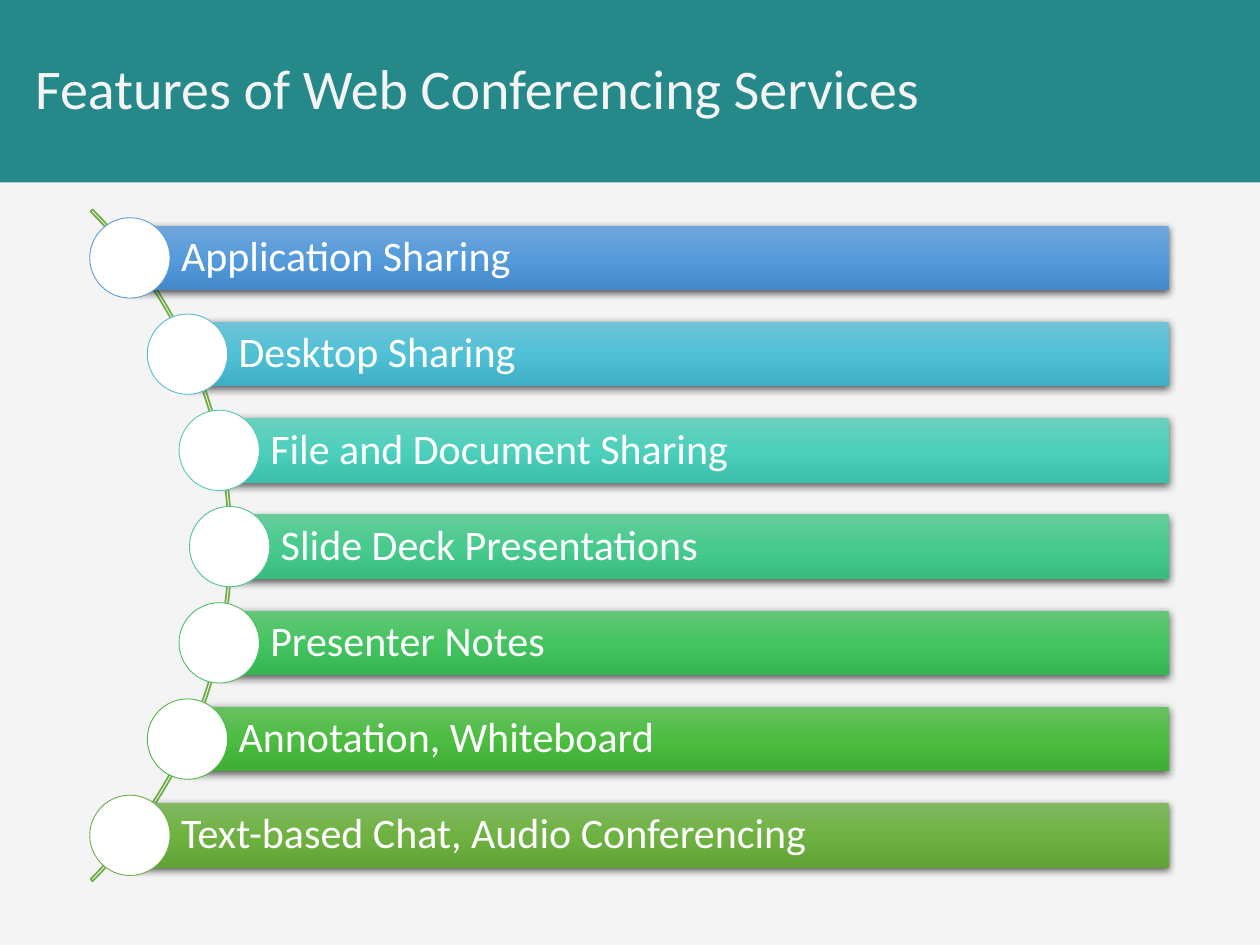
from dataclasses import dataclass

from pptx import Presentation
from pptx.dml.color import RGBColor
from pptx.enum.shapes import MSO_SHAPE
from pptx.enum.text import MSO_ANCHOR, PP_ALIGN
from pptx.oxml import parse_xml
from pptx.oxml.ns import nsdecls, qn
from pptx.util import Cm, Pt

RECTANGLE = MSO_SHAPE.RECTANGLE
OVAL = MSO_SHAPE.OVAL
BLOCK_ARC = MSO_SHAPE.BLOCK_ARC
MIDDLE = MSO_ANCHOR.MIDDLE
LEFT = PP_ALIGN.LEFT
JUSTIFY = PP_ALIGN.JUSTIFY


@dataclass(frozen=True)
class Theme:
    font: str = "Calibri"
    background: str = "F4F4F5"
    header: str = "258989"
    arc: str = "70AD47"
    white: str = "FFFFFF"
    shadow: str = "000000"
    title_size: int = 32
    feature_size: int = 24


THEME = Theme()

FEATURES = [
    ("Application Sharing", ("71A6DB", "559BDB", "448ACA"), "5B9BD5"),
    ("Desktop Sharing", ("6EC4D6", "50C0D6", "40AFC5"), "56BCD0"),
    ("File and Document Sharing", ("6AD1C0", "4CD0BC", "3CC0AC"), "52CAB8"),
    ("Slide Deck Presentations", ("67CC9A", "47CB8E", "39BB7F"), "4DC58D"),
    ("Presenter Notes", ("64C677", "44C460", "36B552"), "49BF64"),
    ("Annotation, Whiteboard", ("69C062", "4CBD41", "3FAD34"), "50B846"),
    ("Text-based Chat, Audio Conferencing", ("81B861", "6FB242", "62A336"), "70AD47"),
]

BAR_LEFTS = [2.62, 3.78, 4.42, 4.63]
BAR_RIGHT = 23.56
BAR_HEIGHT = 1.3
FIRST_TOP = 4.55
ROW_PITCH = 1.94
CIRCLE_SIZE = 1.62


def add_shape(slide, kind, left, top, width, height, fill=None, line=None, line_width=1):
    shape = slide.shapes.add_shape(kind, Cm(left), Cm(top), Cm(width), Cm(height))
    shape.shadow.inherit = False
    if fill:
        shape.fill.solid()
        shape.fill.fore_color.rgb = RGBColor.from_string(fill)
    else:
        shape.fill.background()
    if line:
        shape.line.color.rgb = RGBColor.from_string(line)
        shape.line.width = Pt(line_width)
    else:
        shape.line.fill.background()
    return shape


def set_text(shape, text, size, color, alignment):
    text_frame = shape.text_frame
    text_frame.text = text
    text_frame.word_wrap = True
    text_frame.vertical_anchor = MIDDLE
    paragraph = text_frame.paragraphs[0]
    paragraph.alignment = alignment
    paragraph.line_spacing = 0.9
    font = paragraph.runs[0].font
    font.name = THEME.font
    font.size = Pt(size)
    font.color.rgb = RGBColor.from_string(color)


def apply_gradient(shape, colors):
    stops = "".join(
        f'<a:gs pos="{index * 50000}"><a:srgbClr val="{color}"/></a:gs>'
        for index, color in enumerate(colors)
    )
    gradient = parse_xml(
        f'<a:gradFill {nsdecls("a")} rotWithShape="1"><a:gsLst>{stops}</a:gsLst>'
        '<a:lin ang="5400000" scaled="0"/></a:gradFill>'
    )
    properties = shape._element.spPr
    properties.replace(properties.find(qn("a:noFill")), gradient)


def apply_shadow(shape):
    shadow = parse_xml(
        f'<a:outerShdw {nsdecls("a")} blurRad="{Pt(4.5)}" dist="{Pt(1.5)}" '
        'dir="5400000" algn="ctr" rotWithShape="0">'
        f'<a:srgbClr val="{THEME.shadow}"><a:alpha val="63000"/></a:srgbClr></a:outerShdw>'
    )
    shape._element.spPr.find(qn("a:effectLst")).append(shadow)


def add_header(slide, text):
    add_shape(slide, RECTANGLE, 0, 0, 25.4, 3.68, THEME.header)
    title = slide.shapes.add_textbox(Cm(0.46), Cm(0), Cm(24.46), Cm(3.68))
    set_text(title, text, THEME.title_size, THEME.background, JUSTIFY)


def add_arc(slide):
    arc = add_shape(slide, BLOCK_ARC, -14.48, 1.42, 19.15, 19.15, line=THEME.arc)
    for index, value in enumerate((189, 27, 0.003)):
        arc.adjustments[index] = value


def add_feature(slide, left, top, text, colors, outline):
    bar = add_shape(slide, RECTANGLE, left, top, BAR_RIGHT - left, BAR_HEIGHT)
    apply_gradient(bar, colors)
    apply_shadow(bar)
    set_text(bar, text, THEME.feature_size, THEME.white, LEFT)
    text_frame = bar.text_frame
    text_frame.margin_left = Cm(1.03)
    text_frame.margin_right = text_frame.margin_top = text_frame.margin_bottom = Cm(0.17)
    circle_top = top - (CIRCLE_SIZE - BAR_HEIGHT) / 2
    add_shape(slide, OVAL, left - CIRCLE_SIZE / 2, circle_top, CIRCLE_SIZE, CIRCLE_SIZE,
              THEME.white, outline, 0.5)


def main():
    presentation = Presentation()
    presentation.slide_width = Cm(25.4)
    presentation.slide_height = Cm(19.05)
    slide = presentation.slides.add_slide(presentation.slide_layouts[6])
    slide.background.fill.solid()
    slide.background.fill.fore_color.rgb = RGBColor.from_string(THEME.background)
    add_header(slide, "Features of Web Conferencing Services")
    add_arc(slide)
    lefts = BAR_LEFTS + BAR_LEFTS[-2::-1]
    for row, (left, feature) in enumerate(zip(lefts, FEATURES)):
        add_feature(slide, left, FIRST_TOP + row * ROW_PITCH, *feature)
    presentation.save("out.pptx")


if __name__ == "__main__":
    main()
